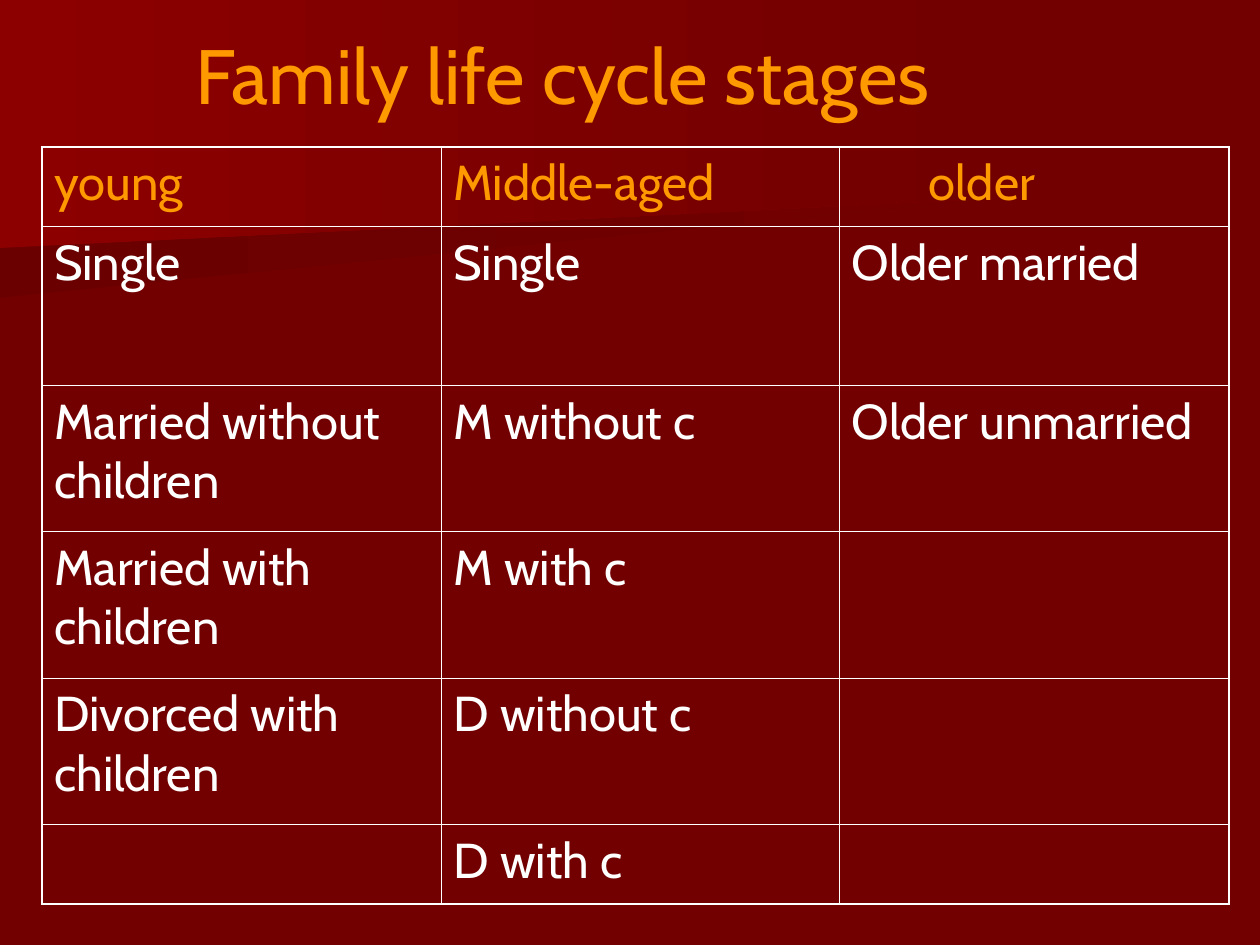
"""Build a slide with a table of family life cycle stages."""
from lxml import etree
from pptx import Presentation
from pptx import util as u
from pptx.dml.color import RGBColor
from pptx.enum import text
from pptx.oxml import ns

MAROON = RGBColor(0x72, 0x00, 0x00)
DARK_MAROON = RGBColor(0x6A, 0x00, 0x00)
RED = RGBColor(0x8C, 0x00, 0x00)
ORANGE = RGBColor(0xFF, 0x99, 0x00)
WHITE = RGBColor(0xFF, 0xFF, 0xFF)

THICK, THIN = u.Pt(1.08), u.Pt(0.45)
COLUMN_WIDTHS = [8.05, 8.03, 7.85]
ROW_HEIGHTS = [1.6, 3.2, 2.95, 2.95, 2.95, 1.6]
STAGES = [
    ["young", "Middle-aged", "older"],
    ["Single", "Single", "Older married"],
    ["Married without children", "M without c", "Older unmarried"],
    ["Married with children", "M with c", ""],
    ["Divorced with children", "D without c", ""],
    ["", "D with c", ""],
]


def write(frame, words, size=28, color=WHITE, font="Cabin", align=text.PP_ALIGN.LEFT):
    frame.word_wrap = True
    paragraph = frame.paragraphs[0]
    paragraph.alignment = align
    run = paragraph.add_run()
    run.text = words
    run.font.size = u.Pt(size)
    run.font.name = font
    run.font.color.rgb = color


def add_border(cell, side, position, width):
    line = etree.Element(ns.qn(f"a:ln{side}"), w=str(int(width)))
    fill = etree.SubElement(line, ns.qn("a:solidFill"))
    etree.SubElement(fill, ns.qn("a:srgbClr"), val=str(WHITE))
    cell._tc.get_or_add_tcPr().insert(position, line)


class StageSlide:
    def __init__(self, deck, background):
        self.slide = deck.slides.add_slide(deck.slide_layouts[6])
        self.slide.background.fill.solid()
        self.slide.background.fill.fore_color.rgb = background

    def add_sweep(self, corners, left_color, right_color):
        builder = self.slide.shapes.build_freeform(*corners[0], scale=u.Cm(1))
        builder.add_line_segments(corners[1:], close=True)
        sweep = builder.convert_to_shape()
        sweep.shadow.inherit = False
        sweep.line.fill.background()
        sweep.fill.gradient()
        sweep.fill.gradient_angle = 0
        for stop, color in zip(sweep.fill.gradient_stops, (left_color, right_color)):
            stop.color.rgb = color

    def add_title(self, words, left, top, width, height):
        title = self.slide.shapes.add_textbox(*map(u.Cm, (left, top, width, height)))
        title.text_frame.vertical_anchor = text.MSO_ANCHOR.MIDDLE
        write(title.text_frame, words, size=44, color=ORANGE, align=text.PP_ALIGN.CENTER)

    def add_stages(self, rows, left, top):
        last_row, last_column = len(rows) - 1, len(rows[0]) - 1
        size = sum(COLUMN_WIDTHS), sum(ROW_HEIGHTS)
        table = self.slide.shapes.add_table(
            len(rows), len(rows[0]), *map(u.Cm, (left, top, *size))).table
        table.first_row = table.horz_banding = False
        for column, width in zip(table.columns, COLUMN_WIDTHS):
            column.width = u.Cm(width)
        for row, height in zip(table.rows, ROW_HEIGHTS):
            row.height = u.Cm(height)
        for r, stages in enumerate(rows):
            for c, stage in enumerate(stages):
                cell = table.cell(r, c)
                cell.fill.background()
                outer = {"L": c == 0, "R": c == last_column, "T": r == 0, "B": r == last_row}
                for position, (side, is_outer) in enumerate(outer.items()):
                    add_border(cell, side, position, THICK if is_outer else THIN)
                if stage:
                    write(cell.text_frame, stage, color=ORANGE if r == 0 else WHITE)
        table.cell(0, last_column).margin_left = u.Cm(1.8)


def main():
    deck = Presentation()
    deck.slide_width, deck.slide_height = u.Cm(25.4), u.Cm(19.05)
    page = StageSlide(deck, MAROON)
    page.add_sweep([(19.76, 3.89), (0, 5.51), (0, 2.57), (19.79, 2.57), (19.76, 3.25)],
                   DARK_MAROON, MAROON)
    page.add_sweep([(20.12, 4.11), (0, 5.28), (0, 0), (20.12, 0)], RED, MAROON)
    page.add_title("Family life cycle stages", 1.7, 0, 19.3, 2.97)
    page.add_stages(STAGES, 0.84, 2.97)
    deck.save("out.pptx")


if __name__ == "__main__":
    main()
